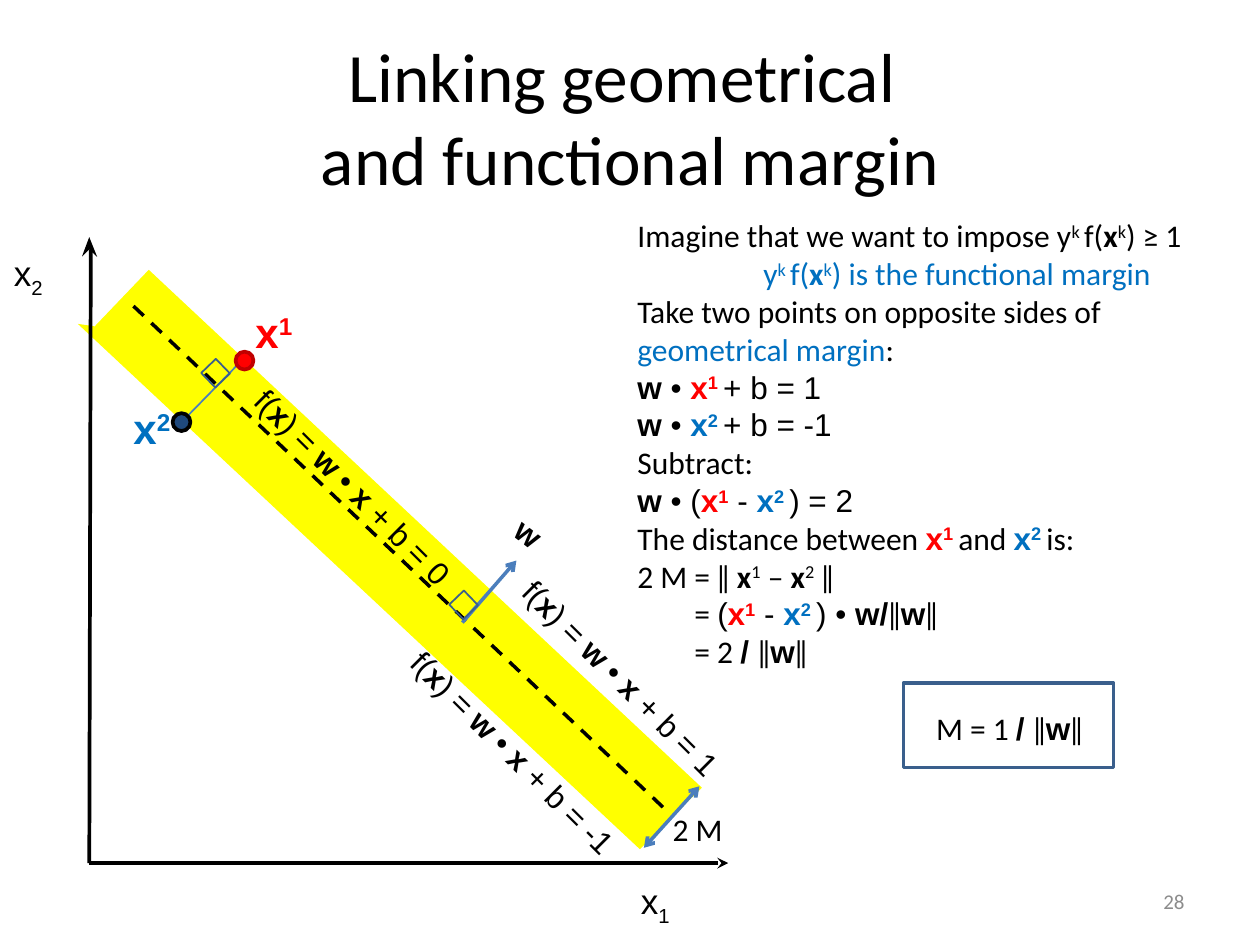
from lxml import etree
from pptx import Presentation
from pptx import util as u
from pptx.dml.color import RGBColor
from pptx.enum import dml, shapes, text
from pptx.oxml import ns

BLACK = RGBColor(0x00, 0x00, 0x00)
WHITE = RGBColor(0xFF, 0xFF, 0xFF)
GRAY = RGBColor(0x8C, 0x8C, 0x8C)
YELLOW = RGBColor(0xFF, 0xFF, 0x00)
RED = RGBColor(0xFF, 0x00, 0x00)
DARK_RED = RGBColor(0xC0, 0x00, 0x00)
BLUE = RGBColor(0x00, 0x70, 0xC0)
NAVY = RGBColor(0x1F, 0x49, 0x7D)
ARROW_BLUE = RGBColor(0x4B, 0x7E, 0xBC)
OUTLINE_BLUE = RGBColor(0x3A, 0x5F, 0x8C)
SANS, ARIAL = "Calibri", "Arial"
TILT = 44.9
SQUARE_TILT = 46.1


def span(content, **style):
    """Pair a piece of text with its font, size, color, bold and baseline (%)."""
    return content, style


def point(index, color, tail=""):
    """Bold x with a raised index, in the colour of that point."""
    style = dict(font=ARIAL, color=color, bold=True)
    return [span("x", **style), span(index + tail, baseline=30, **style)]


def functional_margin():
    return [span("y"), span("k ", baseline=30), span("f("), span("x", bold=True),
            span("k", baseline=30)]


def norm_of_w():
    return [span("ǁ"), span("w", font=ARIAL, bold=True), span("ǁ")]


def hyperplane(value):
    return [span("f("), span("x", bold=True), span(") = "), span("w ", bold=True),
            span("• "), span("x", bold=True), span(f" + b = {value}")]


def plane_through(index, color, value):
    return [span("w", font=ARIAL, bold=True), span(" • ", font=ARIAL),
            *point(index, color, " "), span(f"+ b = {value}", font=ARIAL)]


def difference():
    return [*point("1", RED), span(" - ", font=ARIAL), *point("2", BLUE, " ")]


class Canvas:
    """Holds the text style and the slide being drawn."""

    def __init__(self, slide, font=SANS, size=18, color=BLACK):
        self.slide = slide
        self.style = dict(font=font, size=size, color=color, bold=False, baseline=0)

    def add_run(self, paragraph, content, **style):
        style = {**self.style, **style}
        run = paragraph.add_run()
        run.text = content
        run.font.name = style["font"]
        run.font.size = u.Pt(style["size"])
        run.font.bold = style["bold"]
        run.font.color.rgb = style["color"]
        if style["baseline"]:
            run.font._element.set("baseline", str(style["baseline"] * 1000))

    def text(self, left, top, width, height, paragraphs, wrap=False, rotation=0,
             align=text.PP_ALIGN.LEFT, anchor=text.MSO_ANCHOR.TOP, fill=None,
             indents=None, **style):
        box = self.slide.shapes.add_textbox(*map(u.Cm, (left, top, width, height)))
        box.rotation = rotation
        if fill is not None:
            box.fill.solid()
            box.fill.fore_color.rgb = fill
        frame = box.text_frame
        frame.word_wrap = wrap
        frame.vertical_anchor = anchor
        if not wrap:
            frame.auto_size = text.MSO_AUTO_SIZE.SHAPE_TO_FIT_TEXT
        for number, spans in enumerate(paragraphs):
            paragraph = frame.add_paragraph() if number else frame.paragraphs[0]
            paragraph.alignment = align
            indent = (indents or {}).get(number, 0)
            if indent:
                paragraph._p.get_or_add_pPr().set("marL", str(u.Cm(indent)))
            for content, own_style in spans:
                if content == "\n":
                    paragraph.add_line_break()
                else:
                    self.add_run(paragraph, content, **{**style, **own_style})

    def paint(self, shape, fill=None, line=None, line_width=1):
        shape.shadow.inherit = False
        if fill is None:
            shape.fill.background()
        else:
            shape.fill.solid()
            shape.fill.fore_color.rgb = fill
        if line is None:
            shape.line.fill.background()
        else:
            shape.line.color.rgb = line
            shape.line.width = u.Pt(line_width)

    def shape(self, kind, left, top, width, height, rotation=0, **paint):
        shape = self.slide.shapes.add_shape(
            kind, *map(u.Cm, (left, top, width, height)))
        shape.rotation = rotation
        self.paint(shape, **paint)

    def polygon(self, corners, **paint):
        start, *rest = [(u.Cm(x), u.Cm(y)) for x, y in corners]
        builder = self.slide.shapes.build_freeform(*start)
        builder.add_line_segments(rest, close=True)
        self.paint(builder.convert_to_shape(), **paint)

    def line(self, start, end, color=BLACK, width=2, dash=None, head=None, tail=None):
        line = self.slide.shapes.add_connector(
            shapes.MSO_CONNECTOR.STRAIGHT, *map(u.Cm, (*start, *end)))
        line.line.color.rgb = color
        line.line.width = u.Pt(width)
        if dash is not None:
            line.line.dash_style = dash
        outline = line.line._get_or_add_ln()
        for tag, kind in (("a:headEnd", head), ("a:tailEnd", tail)):
            if kind:
                etree.SubElement(outline, ns.qn(tag)).set("type", kind)
        etree.SubElement(line._element.spPr, ns.qn("a:effectLst"))


def draw_diagram(canvas):
    rectangle, oval = shapes.MSO_SHAPE.RECTANGLE, shapes.MSO_SHAPE.OVAL
    origin = (1.8, 17.4)
    canvas.polygon([(1.91, 6.58), (3, 5.44), (14.15, 15.88), (12.9, 17.12),
                    (1.57, 6.53)], fill=YELLOW)
    canvas.line(origin, (14.68, 17.4), width=2.13, tail="stealth")
    canvas.line(origin, (1.83, 5.03), width=2.13)
    canvas.polygon([(1.65, 5.18), (1.8, 4.78), (1.96, 5.18), (1.8, 5.03)], fill=BLACK)
    for index, left, top, width in (("1", 12.67, 17.6, 2.51), ("2", 0.03, 4.95, 1.63)):
        canvas.text(left, top, width, 1.45, [[span("x"), span(index, baseline=-25)]],
                    wrap=True, fill=WHITE, font=ARIAL, size=20)
    canvas.line((2.69, 6.17), (13.51, 16.41), dash=dml.MSO_LINE.DASH)

    for value, left, top, width in ((0, 4.22, 9.35, 5.89), (1, 9.6, 13.26, 6.05),
                                    (-1, 7.34, 14.71, 6.1)):
        canvas.text(left, top, width, 1.02, [hyperplane(value)],
                    rotation=TILT, font=ARIAL)
    canvas.line((9.32, 12.55), (10.41, 11.3), ARROW_BLUE, tail="arrow")
    canvas.text(10.03, 10.31, 1.32, 1.35, [[span("w")]], rotation=37.5,
                font=ARIAL, bold=True)

    for index, color, left, top in (("1", RED, 4.9, 6.05), ("2", BLUE, 2.44, 7.98)):
        canvas.text(left, top, 1.3, 1.27, [point(index, color)], size=24)
    canvas.line((3.66, 8.51), (4.93, 7.21), ARROW_BLUE, width=1)
    for left, top in ((4.14, 7.32), (9.14, 11.99)):
        canvas.shape(rectangle, left, top, 0.41, 0.41, SQUARE_TILT, line=OUTLINE_BLUE)
    for left, top, fill, line in ((3.48, 8.33, NAVY, BLACK),
                                  (4.75, 7.09, RED, DARK_RED)):
        canvas.shape(oval, left, top, 0.36, 0.36, fill=fill, line=line, line_width=2.13)

    canvas.line((12.98, 17.09), (14.1, 15.85), ARROW_BLUE, head="arrow", tail="arrow")
    canvas.text(13.31, 16.21, 1.68, 1.02, [[span("2 M")]])


def draw_derivation(canvas):
    blue_margin = [(content, {**style, "color": BLUE}) for content, style in
                   [*functional_margin(), span(") is the functional margin")]]
    slash = span("/ ", font=ARIAL, bold=True)
    canvas.text(12.6, 4.24, 12.7, 10.26, [
        [span("Imagine that we want to impose "), *functional_margin(), span(") ≥ 1")],
        blue_margin,
        [span("Take two points on opposite sides of "),
         span("geometrical margin", color=BLUE), span(":")],
        plane_through("1", RED, 1),
        plane_through("2", BLUE, -1),
        [span("Subtract:")],
        [span("w ", font=ARIAL, bold=True), span("• (", font=ARIAL), *difference(),
         span(") = 2", font=ARIAL)],
        [span("The distance between "), *point("1", RED, " "), span("and "),
         *point("2", BLUE, " "), span("is:")],
        [span("2 M = ǁ "), span("x", bold=True), span("1", baseline=30), span(" – "),
         span("x", bold=True), span("2", baseline=30), span(" ǁ")],
        [span("= "), span("(", font=ARIAL), *difference(), span(") • ", font=ARIAL),
         span("w/", font=ARIAL, bold=True), *norm_of_w()],
        [span("= 2 "), slash, *norm_of_w()],
    ], wrap=True, indents={1: 2.54, 9: 1.15, 10: 1.15})
    canvas.text(18.62, 14.17, 3.51, 1.8, [[span("M = 1 "), slash, *norm_of_w()]])
    canvas.shape(shapes.MSO_SHAPE.RECTANGLE, 18.21, 13.77, 4.24, 1.7,
                 line=OUTLINE_BLUE, line_width=2)


def main():
    presentation = Presentation()
    presentation.slide_width, presentation.slide_height = u.Cm(25.4), u.Cm(19.05)
    canvas = Canvas(presentation.slides.add_slide(presentation.slide_layouts[6]))
    canvas.text(1.27, 0.76, 22.86, 3.18,
                [[span("Linking geometrical "), span("\n"),
                  span("and functional margin")]],
                wrap=True, align=text.PP_ALIGN.CENTER,
                anchor=text.MSO_ANCHOR.MIDDLE, size=39.6)
    canvas.text(18.2, 17.65, 5.93, 1.02, [[span("28")]], wrap=True,
                align=text.PP_ALIGN.RIGHT, anchor=text.MSO_ANCHOR.MIDDLE,
                size=12, color=GRAY)
    draw_diagram(canvas)
    draw_derivation(canvas)
    presentation.save("out.pptx")


if __name__ == "__main__":
    main()
